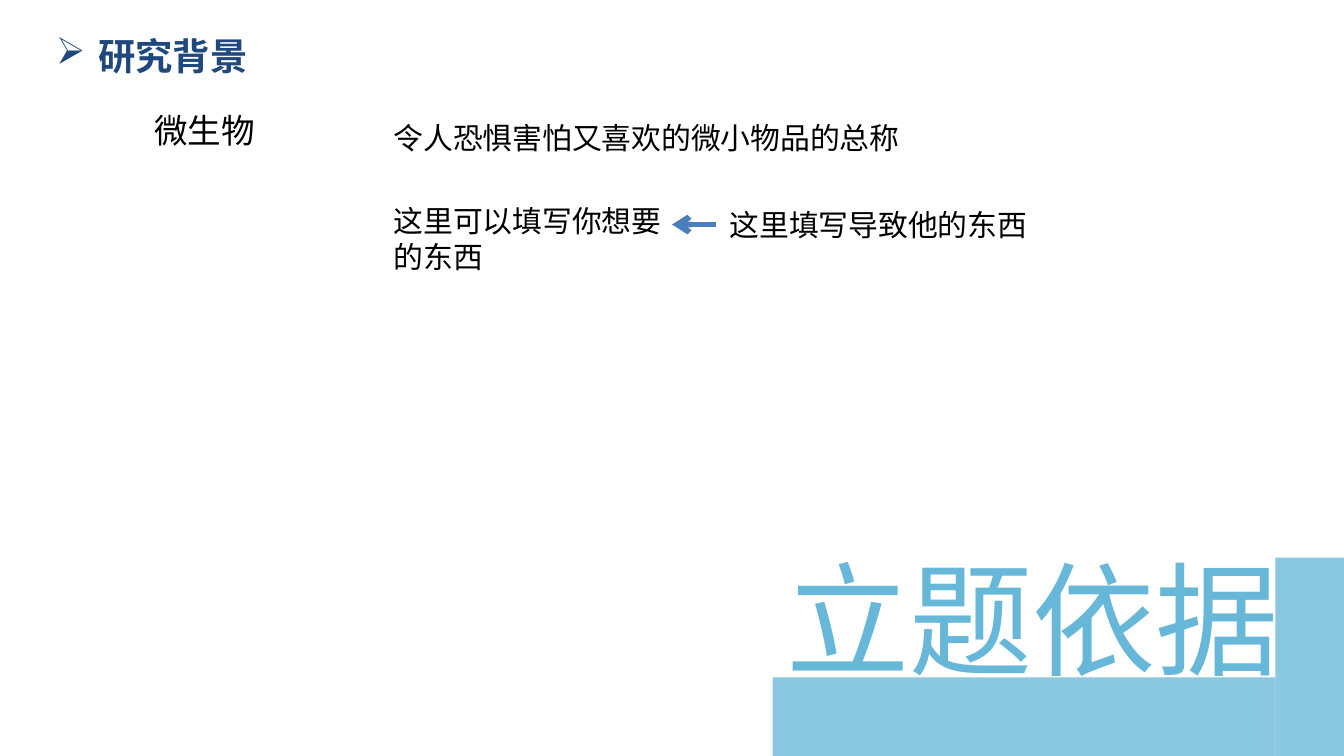
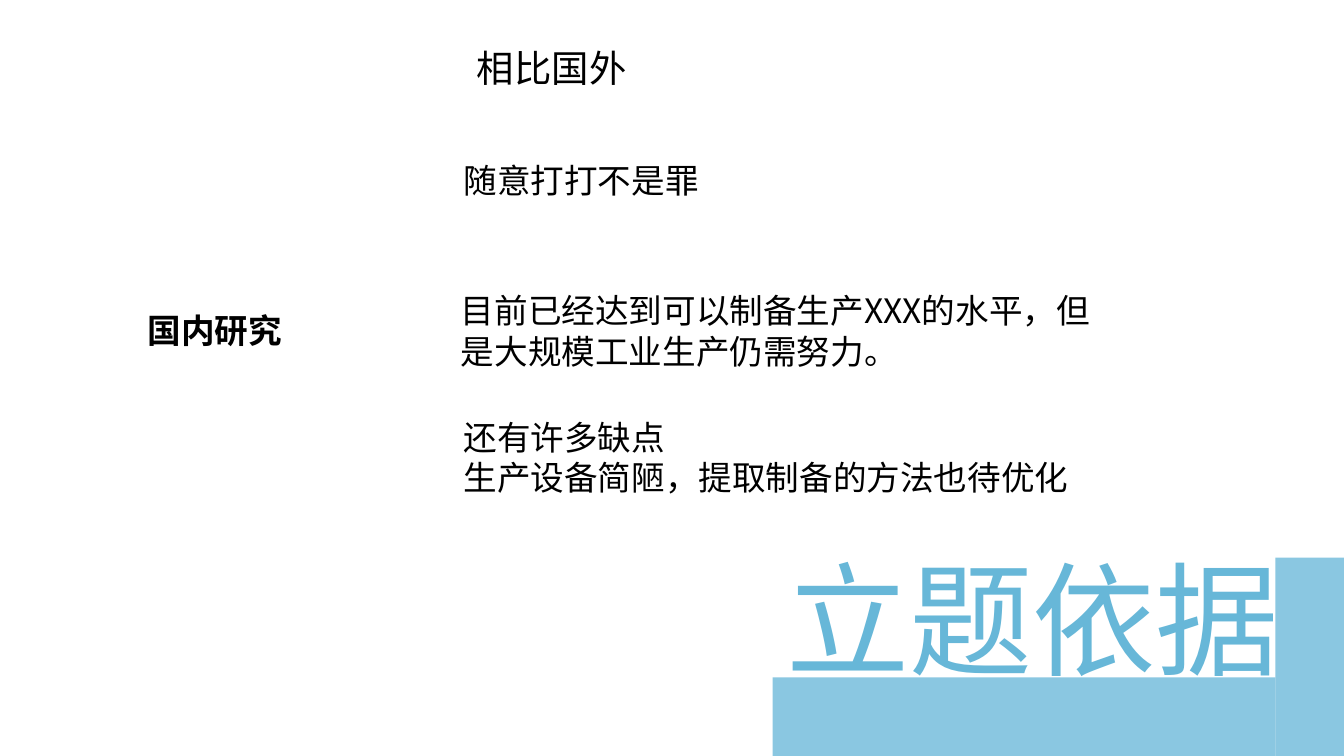
from dataclasses import dataclass

from lxml import etree
from pptx import Presentation
from pptx import util as u
from pptx.dml import color
from pptx.enum import shapes, text
from pptx.oxml import ns


@dataclass(frozen=True)
class Theme:
    font: str = "Noto Sans CJK SC"
    sky: str = "67B7D8"
    navy: str = "1F497D"
    arrow: str = "4B7EBC"
    black: str = "000000"
    band_opacity: int = 77
    banner: int = 66
    heading: int = 20
    body: int = 18
    detail: int = 16


@dataclass(frozen=True)
class Box:
    left: float
    top: float
    width: float
    height: float

    def lengths(self) -> tuple:
        return tuple(u.Pt(n) for n in (self.left, self.top, self.width, self.height))


@dataclass(frozen=True)
class Label:
    wording: str
    box: Box
    size: int
    color: str = "000000"
    bold: bool = False
    wrap: bool = True
    bullet: str = ""


THEME = Theme()
SLIDE_WIDTH, SLIDE_HEIGHT = 720, 405
BANDS = (Box(683.3, 298.8, 96.5, 108), Box(414, 362.9, 269.3, 43.9))
BANNER = Label("立题依据", Box(414, 287.3, 323.3, 87.1), THEME.banner, THEME.sky)

BACKGROUND_LABELS = (
    Label("研究背景", Box(23, 14.4, 181.4, 31.7), THEME.heading, THEME.navy,
          bold=True, bullet="➢"),
    Label("令人恐惧害怕又喜欢的微小物品的总称", Box(203.8, 60.5, 459.4, 26.6), THEME.detail),
    Label("微生物", Box(75.6, 55.4, 69.1, 28.8), THEME.body, wrap=False),
    Label("这里可以填写你想要的东西", Box(203.8, 105.1, 167.8, 46.1), THEME.detail),
    Label("这里填写导致他的东西", Box(383.8, 107, 176.4, 26.6), THEME.detail, wrap=False),
)
DOMESTIC_LABELS = (
    Label("国内研究", Box(72, 162.7, 87.1, 28.8), THEME.body, bold=True, wrap=False),
    Label("还有许多缺点\n生产设备简陋，提取制备的方法也待优化",
          Box(241.2, 219.6, 360, 51.1), THEME.body),
    Label("目前已经达到可以制备生产XXX的水平，但是大规模工业生产仍需努力。",
          Box(239.8, 151.9, 360, 51.1), THEME.body),
    Label("随意打打不是罪", Box(241.2, 82.1, 254.9, 28.8), THEME.body),
    Label("相比国外", Box(248.4, 20.9, 95, 31.7), THEME.heading, wrap=False),
)


def add_child(parent, tag: str, **attributes: str):
    return etree.SubElement(parent, ns.qn(tag), attributes)


def add_band(slide, box: Box) -> None:
    band = slide.shapes.add_shape(shapes.MSO_SHAPE.RECTANGLE, *box.lengths())
    band.shadow.inherit = False
    band.fill.solid()
    band.fill.fore_color.rgb = color.RGBColor.from_string(THEME.sky)
    band.line.fill.background()
    fill_color = band._element.spPr.find(".//" + ns.qn("a:srgbClr"))
    add_child(fill_color, "a:alpha", val=str(THEME.band_opacity * 1000))


def add_text(slide, wording: str, *, box: Box, size: int, ink: str,
             bold: bool, wrap: bool, bullet: str) -> None:
    frame = slide.shapes.add_textbox(*box.lengths()).text_frame
    frame.word_wrap = wrap
    frame.auto_size = text.MSO_AUTO_SIZE.SHAPE_TO_FIT_TEXT
    frame.text = wording
    for paragraph in frame.paragraphs:
        if bullet:
            properties = paragraph._p.get_or_add_pPr()
            properties.set("marL", str(u.Pt(22.5)))
            properties.set("indent", str(-u.Pt(22.5)))
            add_child(properties, "a:buChar", char=bullet)
        for run in paragraph.runs:
            run.font.size = u.Pt(size)
            run.font.bold = bold
            run.font.color.rgb = color.RGBColor.from_string(ink)
            run.font.name = THEME.font
            add_child(run._r.get_or_add_rPr(), "a:ea", typeface=THEME.font)


def add_label(slide, label: Label) -> None:
    add_text(slide, label.wording, box=label.box, size=label.size, ink=label.color,
             bold=label.bold, wrap=label.wrap, bullet=label.bullet)


def add_arrow(slide, start: float, end: float, height: float) -> None:
    arrow = slide.shapes.add_connector(
        shapes.MSO_CONNECTOR.STRAIGHT, u.Pt(start), u.Pt(height), u.Pt(end), u.Pt(height))
    arrow.line.color.rgb = color.RGBColor.from_string(THEME.arrow)
    arrow.line.width = u.Pt(3)
    add_child(arrow.line._get_or_add_ln(), "a:tailEnd", type="arrow")
    add_child(arrow._element.spPr, "a:effectLst")


def add_topic_slide(presentation, labels: tuple[Label, ...]):
    slide = presentation.slides.add_slide(presentation.slide_layouts[6])
    for band in BANDS:
        add_band(slide, band)
    for label in (BANNER, *labels):
        add_label(slide, label)
    return slide


def main() -> None:
    presentation = Presentation()
    presentation.slide_width = u.Pt(SLIDE_WIDTH)
    presentation.slide_height = u.Pt(SLIDE_HEIGHT)
    background = add_topic_slide(presentation, BACKGROUND_LABELS)
    add_arrow(background, start=383.8, end=360, height=120.3)
    add_topic_slide(presentation, DOMESTIC_LABELS)
    presentation.save("out.pptx")


if __name__ == "__main__":
    main()
